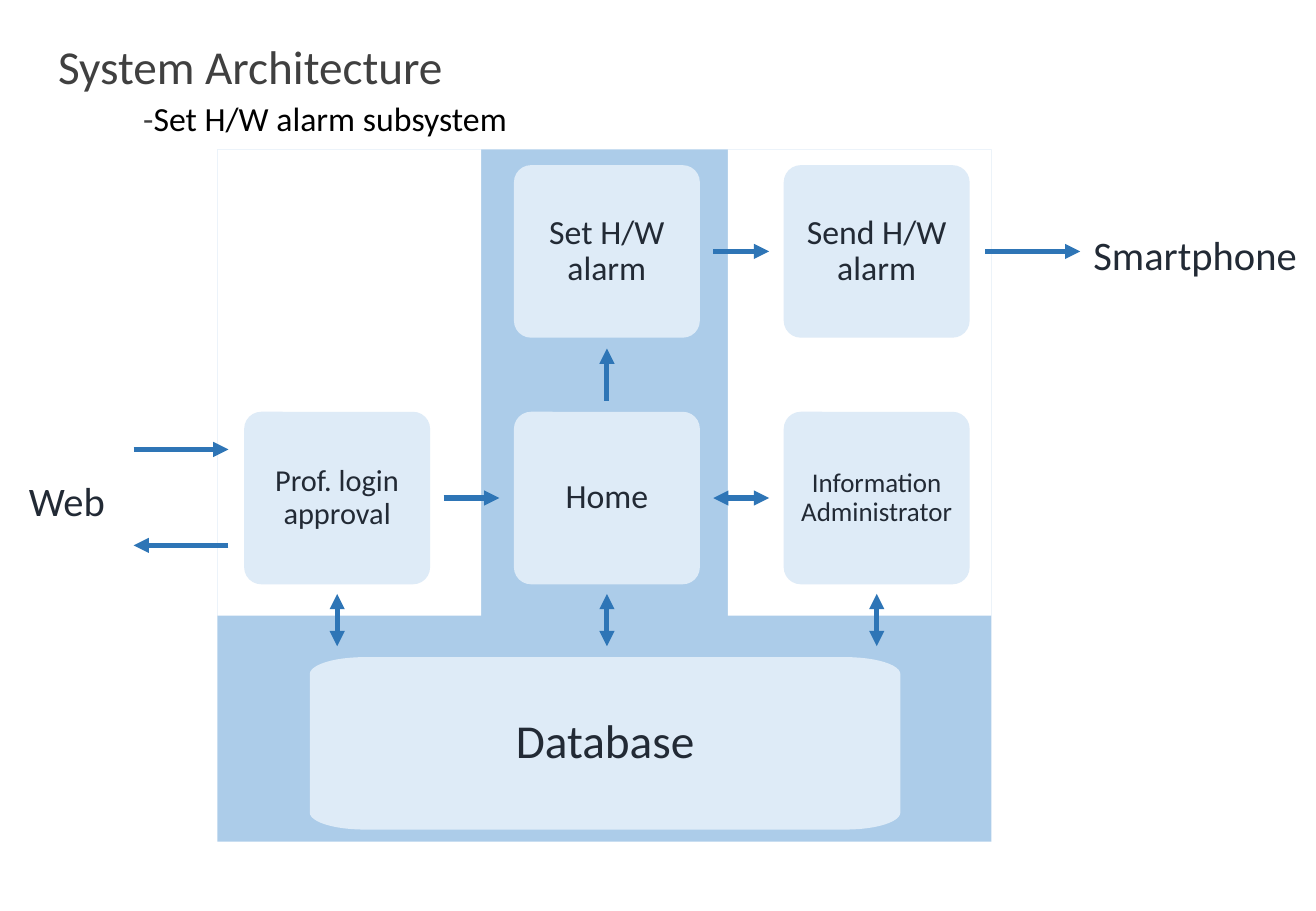
import math

import lxml.etree
import pptx
import pptx.dml.color
import pptx.enum.shapes
import pptx.enum.text
import pptx.oxml
import pptx.oxml.ns
import pptx.util

PX = 9144  # 100 px to the inch
COLORS = {
    "backdrop": "5B9BD5", "white": "FFFFFF", "block": "DEEBF7",
    "arrow": "2E75B6", "text": "222A35", "title": "404040", "subtitle": "000000",
}
FONT = "Calibri"
BLOCK_WIDTH, BLOCK_HEIGHT = 153, 142
COLUMN_STEP, ROW_STEP = 222, 203
CORNER = 14
SHAPE = pptx.enum.shapes.MSO_SHAPE
ALIGN = pptx.enum.text.PP_ALIGN
ANCHOR = pptx.enum.text.MSO_ANCHOR


def emu(*lengths):
    return [pptx.util.Emu(round(length * PX)) for length in lengths]


def rgb(name):
    return pptx.dml.color.RGBColor.from_string(COLORS[name])


def paint(shape, color):
    shape.shadow.inherit = False
    shape.fill.solid()
    shape.fill.fore_color.rgb = rgb(color)
    shape.line.fill.background()


def add_filled(slide, kind, box, color):
    shape = slide.shapes.add_shape(kind, *emu(*box))
    paint(shape, color)
    return shape


def set_margins(frame, left, top, right, bottom):
    frame.margin_left, frame.margin_top, frame.margin_right, frame.margin_bottom = emu(
        left, top, right, bottom)


def set_font(font, size, color):
    font.name = FONT
    font.size = pptx.util.Pt(size)
    font.color.rgb = rgb(color)


def write_centered(shape, text, size, margin):
    frame = shape.text_frame
    frame.word_wrap = True
    frame.vertical_anchor = ANCHOR.MIDDLE
    set_margins(frame, *[margin] * 4)
    paragraph = frame.paragraphs[0]
    paragraph.text = text
    paragraph.alignment = ALIGN.CENTER
    set_font(paragraph.font, size, "text")
    return paragraph


def add_heading(slide, box, size, runs):
    frame = slide.shapes.add_textbox(*emu(*box)).text_frame
    frame.word_wrap = True
    set_margins(frame, 10, 0, 10, 5)
    paragraph = frame.paragraphs[0]
    paragraph.line_spacing = 0.9
    for text, color in runs:
        run = paragraph.add_run()
        run.text = text
        set_font(run.font, size, color)


def add_arrow(slide, start, end, both=False):
    connector = slide.shapes.add_connector(
        pptx.enum.shapes.MSO_CONNECTOR.STRAIGHT, *emu(*start, *end))
    connector.line.color.rgb = rgb("arrow")
    connector.line.width = pptx.util.Pt(3)
    properties = connector.line._get_or_add_ln()
    for tag in ["a:headEnd", "a:tailEnd"] if both else ["a:tailEnd"]:
        tip = lxml.etree.SubElement(properties, pptx.oxml.ns.qn(tag))
        tip.set("type", "triangle")
    lxml.etree.SubElement(connector._element.spPr, pptx.oxml.ns.qn("a:effectLst"))


def add_backdrop(slide, box):
    """Half-transparent panel with white cut-outs left and right of the middle column."""
    left, top, width, height = box
    panel = add_filled(slide, SHAPE.RECTANGLE, box, "backdrop")
    color = panel._element.spPr.find(".//" + pptx.oxml.ns.qn("a:srgbClr"))
    lxml.etree.SubElement(color, pptx.oxml.ns.qn("a:alpha")).set("val", "50000")
    cut_width, cut_height = 217, 384
    for cut_left in (left, left + width - cut_width):
        add_filled(slide, SHAPE.RECTANGLE, (cut_left, top, cut_width, cut_height), "white")


def add_block(slide, left, top, text, size):
    block = add_filled(
        slide, SHAPE.ROUNDED_RECTANGLE, (left, top, BLOCK_WIDTH, BLOCK_HEIGHT), "block")
    block.adjustments[0] = CORNER / BLOCK_HEIGHT
    write_centered(block, text, size, 10).line_spacing = 0.9


def add_database(slide, box):
    """Wide block whose corners are quarter ellipses."""
    left, top, width, height = box
    radius_x, radius_y, steps = 45, CORNER, 12
    points = []
    for quarter in range(4):
        center_x = left + (radius_x if quarter in (0, 3) else width - radius_x)
        center_y = top + (radius_y if quarter in (0, 1) else height - radius_y)
        for step in range(steps + 1):
            angle = math.pi + (quarter + step / steps) * math.pi / 2
            points.append(emu(center_x + radius_x * math.cos(angle),
                              center_y + radius_y * math.sin(angle)))
    builder = slide.shapes.build_freeform(*points[0])
    builder.add_line_segments(points[1:], close=True)
    database = builder.convert_to_shape()
    paint(database, "block")
    write_centered(database, "Database", 28, 14).line_spacing = 0.9


def add_subsystem(slide, box):
    left, top, width, height = box
    add_backdrop(slide, box)
    columns = [left + 22 + COLUMN_STEP * index for index in range(3)]
    rows = [top + 13 + ROW_STEP * index for index in range(2)]
    for column, row, text, size in [
        (1, 0, "Set H/W alarm", 20),
        (2, 0, "Send H/W alarm", 20),
        (0, 1, "Prof. login approval", 18),
        (1, 1, "Home", 20),
        (2, 1, "Information Administrator", 16),
    ]:
        add_block(slide, columns[column], rows[row], text, size)
    add_database(slide, (left + 76, top + 418, 486, BLOCK_HEIGHT))

    for column, row, both in [(1, 0, False), (0, 1, False), (1, 1, True)]:
        start = columns[column] + BLOCK_WIDTH + 11
        middle = rows[row] + BLOCK_HEIGHT / 2
        add_arrow(slide, (start, middle), (start + 46, middle), both)
    centers = [column + BLOCK_WIDTH / 2 for column in columns]
    add_arrow(slide, (centers[1], rows[1] - 9), (centers[1], rows[1] - 52))
    below = rows[1] + BLOCK_HEIGHT + 8
    for center in centers:
        add_arrow(slide, (center, below), (center, below + 43), both=True)


def add_client(slide, box, text, arrows):
    """White label of an outside client with its arrows, given as offsets from the box."""
    left, top, width, height = box
    label = add_filled(slide, SHAPE.RECTANGLE, box, "white")
    write_centered(label, text, 24, 5)
    for start, end, offset in arrows:
        add_arrow(slide, (left + start, top + offset), (left + end, top + offset))


def main():
    presentation = pptx.Presentation()
    presentation.slide_width, presentation.slide_height = emu(1083, 750)
    slide = presentation.slides.add_slide(presentation.slide_layouts[6])
    add_heading(slide, (38, 36, 346, 31), 28, [("System Architecture", "title")])
    add_heading(slide, (108, 84, 468, 24), 20,
                [("-", "title"), ("Set H/W alarm subsystem", "subtitle")])
    add_subsystem(slide, (179, 123, 637, 570))
    add_client(slide, (883, 184, 201, 50), "Smartphone", [(-72, 6, 23)])
    add_client(slide, (0, 387, 110, 50), "Web", [(110, 188, -17), (188, 110, 62)])
    presentation.save("out.pptx")


if __name__ == "__main__":
    main()
